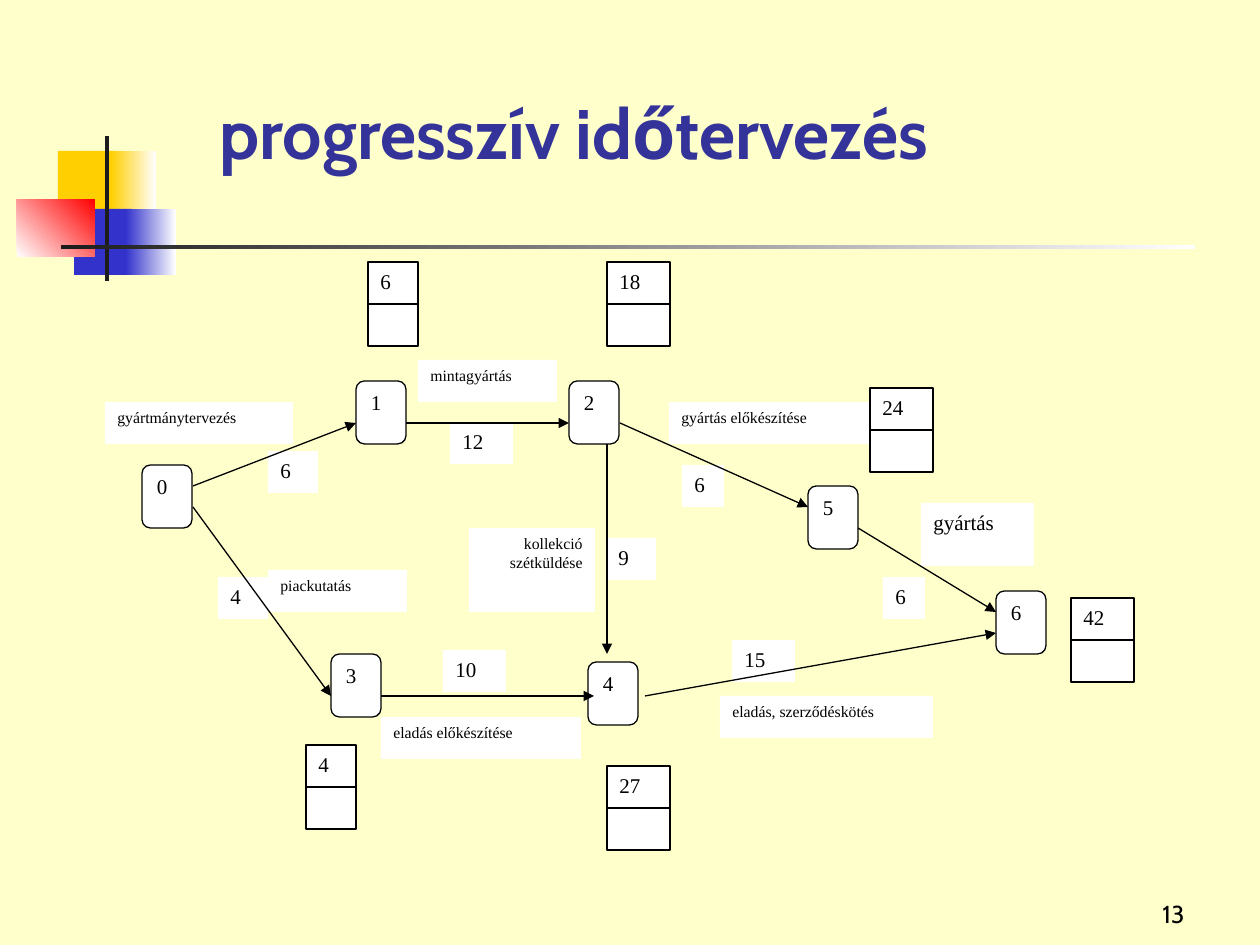
from lxml.etree import SubElement
from pptx import Presentation
from pptx.dml.color import RGBColor as RGB
from pptx.enum.shapes import MSO_CONNECTOR as LINK, MSO_SHAPE as SHAPE
from pptx.enum.text import MSO_ANCHOR as ANCHOR, MSO_AUTO_SIZE as AUTO, PP_ALIGN as ALIGN
from pptx.oxml.ns import qn
from pptx.util import Emu, Pt

CREAM = RGB(0xFF, 0xFF, 0xCC)
WHITE = RGB(0xFF, 0xFF, 0xFF)
BLACK = RGB(0x00, 0x00, 0x00)
COAL = RGB(0x1C, 0x1C, 0x1C)
GOLD = RGB(0xFF, 0xCF, 0x01)
BLUE = RGB(0x33, 0x33, 0xCC)
NAVY = RGB(0x33, 0x33, 0x99)
RED = RGB(0xFF, 0x00, 0x00)

SCALE = 914400 / 126
ROW = 42


def px(*nums):
    return [Emu(round(n * SCALE)) for n in nums]


class Board:
    sans = "Cabin"
    serif = "Times New Roman"
    line = Pt(0.75)

    def __init__(self, slide):
        self.slide = slide
        fill = slide.background.fill
        fill.solid()
        fill.fore_color.rgb = CREAM

    def text(self, frame, words, size, font, color=BLACK, bold=False,
             align=ALIGN.LEFT, anchor=ANCHOR.TOP):
        frame.word_wrap = True
        frame.auto_size = AUTO.NONE
        frame.vertical_anchor = anchor
        frame.margin_left, frame.margin_top = Pt(7.2), Pt(3.6)
        frame.margin_right, frame.margin_bottom = Pt(7.2), Pt(3.6)
        para = frame.paragraphs[0]
        para.alignment = align
        run = para.add_run()
        run.text = words
        run.font.size = Pt(size)
        run.font.name = font
        run.font.bold = bold
        run.font.color.rgb = color

    def title(self, words, x, y, w, h):
        head = self.slide.shapes.title
        head.left, head.top, head.width, head.height = px(x, y, w, h)
        self.text(head.text_frame, words, 40, self.sans, NAVY, True)

    def number(self, words, x, y, w, h):
        box = self.slide.shapes.add_textbox(*px(x, y, w, h))
        self.text(box.text_frame, words, 14, self.sans,
                  align=ALIGN.RIGHT, anchor=ANCHOR.BOTTOM)

    def shape(self, x, y, w, h, color=WHITE, end=None, angle=0,
              kind=SHAPE.RECTANGLE, edge=False):
        item = self.slide.shapes.add_shape(kind, *px(x, y, w, h))
        item.shadow.inherit = False
        if end is None:
            item.fill.solid()
            item.fill.fore_color.rgb = color
        else:
            item.fill.gradient()
            item.fill.gradient_angle = angle
            for stop, tone in zip(item.fill.gradient_stops, (color, end)):
                stop.color.rgb = tone
        if edge:
            item.line.color.rgb = BLACK
            item.line.width = self.line
        else:
            item.line.fill.background()
        return item

    def label(self, words, x, y, w, h=ROW, size=12, align=ALIGN.LEFT, edge=False):
        item = self.shape(x, y, w, h, edge=edge)
        self.text(item.text_frame, words, size, self.serif, align=align)

    def node(self, words, x, y):
        kind = SHAPE.FLOWCHART_ALTERNATE_PROCESS
        item = self.shape(x, y, 50, 63, kind=kind, edge=True)
        self.text(item.text_frame, words, 12, self.serif)

    def clock(self, words, x, y, w):
        self.label(words, x, y, w, edge=True)
        self.shape(x, y + ROW, w, ROW, edge=True)

    def arrow(self, *ends):
        link = self.slide.shapes.add_connector(LINK.STRAIGHT, *px(*ends))
        link.line.color.rgb = BLACK
        link.line.width = self.line
        prop = link._element.spPr
        SubElement(prop.find(qn("a:ln")), qn("a:tailEnd"), type="triangle")
        SubElement(prop, qn("a:effectLst"))


def main():
    deck = Presentation()
    deck.slide_width, deck.slide_height = px(1260, 945)
    board = Board(deck.slides.add_slide(deck.slide_layouts[5]))

    for item in (
        (58, 151, 60, 66, GOLD),
        (111, 151, 45, 66, GOLD, WHITE),
        (74, 209, 58, 66, BLUE),
        (126, 209, 50, 66, BLUE, WHITE),
        (17, 199, 78, 58, WHITE, RED, 45),
        (105, 136, 4, 145, COAL),
        (61, 245, 1134, 4, COAL, WHITE),
    ):
        board.shape(*item)

    board.title("progresszív időtervezés", 207, 83, 848, 97)
    board.number("13", 935, 872, 262, 63)

    for item in (
        ("0", 142, 465), ("1", 356, 381), ("2", 569, 381), ("3", 331, 654),
        ("4", 588, 662), ("5", 808, 486), ("6", 996, 591),
    ):
        board.node(*item)

    for words, x, y, w in (
        ("gyártmánytervezés", 105, 402, 188),
        ("mintagyártás", 418, 360, 139),
        ("piackutatás", 268, 570, 139),
        ("eladás előkészítése", 381, 717, 200),
        ("eladás, szerződéskötés", 720, 696, 213),
        ("gyártás előkészítése", 669, 402, 200),
    ):
        board.label(words, x, y, w, size=9)
    board.label("kollekció szétküldése", 469, 528, 126, 84, 9, ALIGN.RIGHT)
    board.label("gyártás", 921, 503, 113, 63)

    for item in (
        ("6", 268, 451, 50), ("4", 218, 577, 50), ("12", 450, 422, 63),
        ("10", 443, 650, 63), ("9", 606, 538, 50), ("6", 883, 577, 42),
        ("6", 682, 465, 42), ("15", 732, 640, 63),
    ):
        board.label(*item)

    for ends in (
        (193, 486, 356, 423), (193, 507, 331, 696), (406, 423, 569, 423),
        (381, 696, 594, 696), (607, 444, 607, 654), (620, 423, 808, 507),
        (858, 528, 996, 612), (645, 696, 996, 633),
    ):
        board.arrow(*ends)

    for item in (
        ("6", 368, 262, 50), ("18", 607, 262, 63), ("24", 870, 388, 63),
        ("42", 1071, 598, 63), ("27", 607, 766, 63), ("4", 306, 745, 50),
    ):
        board.clock(*item)

    deck.save("out.pptx")


if __name__ == "__main__":
    main()
